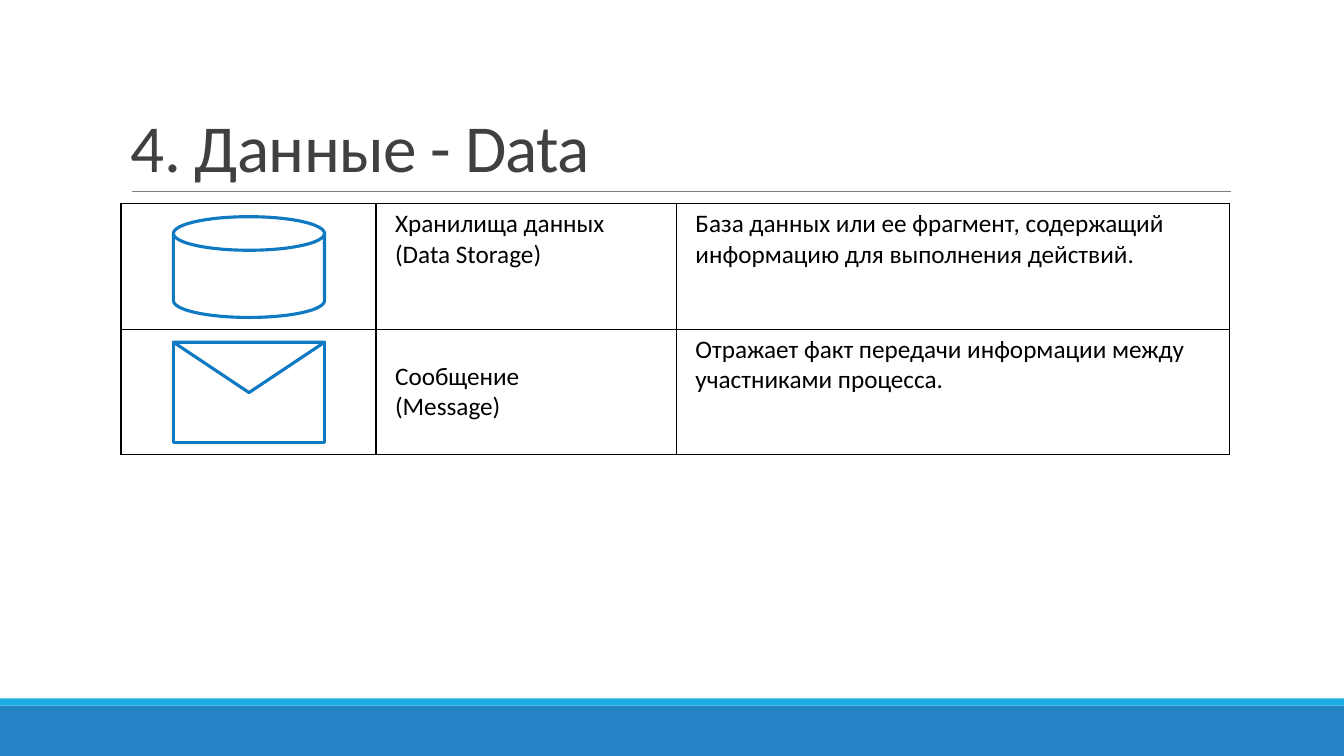
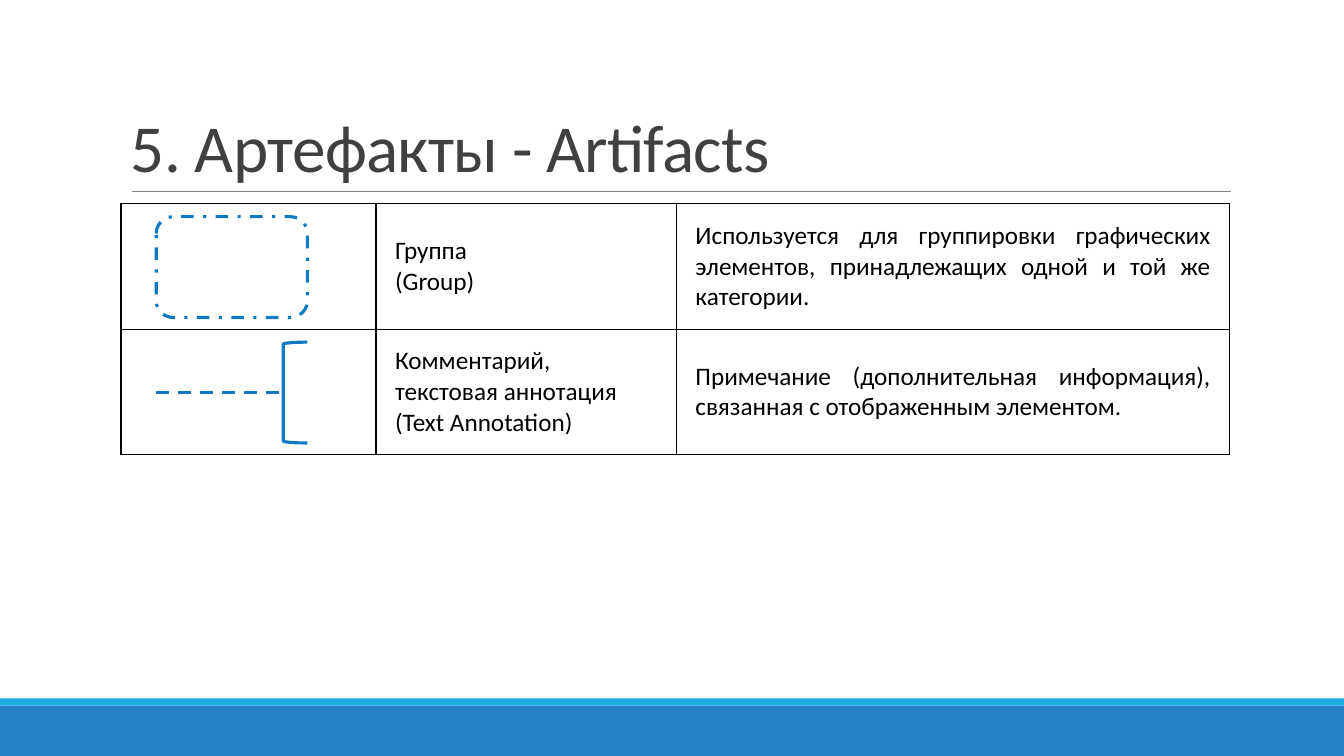
import collections
import lxml.etree
import pptx
import pptx.dml.color
import pptx.enum.dml
import pptx.enum.shapes
import pptx.enum.text
import pptx.oxml.ns
import pptx.util

RGBColor = pptx.dml.color.RGBColor
SHAPE = pptx.enum.shapes.MSO_SHAPE
DASH = pptx.enum.dml.MSO_LINE
ANCHOR = pptx.enum.text.MSO_ANCHOR
ALIGN = pptx.enum.text.PP_ALIGN
qn = pptx.oxml.ns.qn

BLUE = RGBColor(0x26, 0x83, 0xC6)
CYAN = RGBColor(0x1C, 0xAD, 0xE4)
OUTLINE = RGBColor(0x0F, 0x79, 0xC1)
GRAY = RGBColor(0x80, 0x80, 0x80)
DARK = RGBColor(0x40, 0x40, 0x40)
BLACK = RGBColor(0, 0, 0)

FONT = "Calibri"
GRID = pptx.util.Inches(0.1)
COLUMNS, ROWS = 133.33, 75
TABLE_COLUMNS = (25.3, 29.8, 54.9)
ICON_WIDTH, ICON_HEIGHT, ICON_TOP = 15, 10, 1.3

Box = collections.namedtuple("Box", "left top width height")
Entry = collections.namedtuple("Entry", "icon name meaning name_format meaning_format")

TITLE_BOX = Box(12, 3.1, 110, 15.9)
TABLE_BOX = Box(12, 20.2, 110, 24.9)
RULE_BOX = Box(13.1, 19, 109, 0)
FOOTER_BOX = Box(0, 69.3, COLUMNS, 5.7)


def units(*lengths):
    return [round(length * GRID) for length in lengths]


def write(frame, text, size=18, color=BLACK, align=ALIGN.LEFT, line_spacing=None, tracking=None):
    frame.word_wrap = True
    para = frame.paragraphs[0]
    para.text = text
    para.alignment = align
    para.line_spacing = line_spacing
    for span in para.runs:
        span.font.name = FONT
        span.font.size = pptx.util.Pt(size)
        span.font.color.rgb = color
        if tracking is not None:
            span._r.get_or_add_rPr().set("spc", str(round(tracking * 100)))


def add_shape(page, kind, box, fill=None, line=None, dash=None):
    shape = page.shapes.add_shape(kind, *units(*box))
    shape.shadow.inherit = False
    if fill is None:
        shape.fill.background()
    else:
        shape.fill.solid()
        shape.fill.fore_color.rgb = fill
    if line is None:
        shape.line.fill.background()
    else:
        shape.line.color.rgb = line
        shape.line.width = pptx.util.Pt(2.25)
        shape.line.dash_style = dash
    return shape


def add_line(page, box, color, width, dash=None):
    line = page.shapes.add_connector(
        pptx.enum.shapes.MSO_CONNECTOR.STRAIGHT,
        *units(box.left, box.top, box.left + box.width, box.top + box.height))
    line.line.color.rgb = color
    line.line.width = pptx.util.Pt(width)
    line.line.dash_style = dash
    lxml.etree.SubElement(line._element.spPr, qn("a:effectLst"))
    return line


def add_footer(page, box):
    stripe = 0.7
    add_shape(page, SHAPE.RECTANGLE,
              Box(box.left, box.top + stripe, box.width, box.height - stripe), fill=BLUE)
    add_shape(page, SHAPE.RECTANGLE, box._replace(height=stripe), fill=CYAN)


def add_title(page, box, text):
    frame = page.shapes.add_textbox(*units(*box)).text_frame
    frame.vertical_anchor = ANCHOR.BOTTOM
    write(frame, text, size=48, color=DARK, line_spacing=0.85, tracking=-0.5)


def draw_storage(page, box):
    add_shape(page, SHAPE.FLOWCHART_MAGNETIC_DISK, box, line=OUTLINE)


def draw_message(page, box):
    add_shape(page, SHAPE.RECTANGLE, box, line=OUTLINE)
    flap = add_shape(page, SHAPE.ISOSCELES_TRIANGLE,
                     box._replace(height=box.height / 2), line=OUTLINE)
    flap.rotation = 180


def draw_group(page, box):
    add_shape(page, SHAPE.ROUNDED_RECTANGLE, box, line=OUTLINE, dash=DASH.DASH_DOT)


def draw_annotation(page, box):
    stem = box.width * 0.84
    bracket = add_shape(page, SHAPE.LEFT_BRACKET,
                        Box(box.left + stem, box.top, box.width - stem, box.height), line=OUTLINE)
    link = add_line(page, Box(box.left, box.top + box.height / 2, stem, 0),
                    OUTLINE, 2.25, DASH.DASH)
    link.end_connect(bracket, 1)


def add_borders(cell):
    cell.fill.background()
    properties = cell._tc.get_or_add_tcPr()
    for index, side in enumerate(("lnL", "lnR", "lnT", "lnB")):
        border = lxml.etree.Element(qn("a:" + side), w=str(pptx.util.Pt(1)))
        fill = lxml.etree.SubElement(border, qn("a:solidFill"))
        lxml.etree.SubElement(fill, qn("a:srgbClr"), val=str(BLACK))
        properties.insert(index, border)


def fill_cell(cell, text, anchor=ANCHOR.TOP, insets=(0.19, 0.05, 0.1, 0.05), align=ALIGN.LEFT):
    cell.vertical_anchor = anchor
    (cell.margin_left, cell.margin_top,
     cell.margin_right, cell.margin_bottom) = map(pptx.util.Inches, insets)
    write(cell.text_frame, text, align=align)


def add_notation_table(page, box, entries, icon_left):
    row_height = box.height / len(entries)
    table = page.shapes.add_table(len(entries), len(TABLE_COLUMNS), *units(*box)).table
    table.first_row = table.horz_banding = False
    for column, width in zip(table.columns, units(*TABLE_COLUMNS)):
        column.width = width
    for cell in table.iter_cells():
        add_borders(cell)
    for index, entry in enumerate(entries):
        table.rows[index].height = units(row_height)[0]
        fill_cell(table.cell(index, 1), entry.name, **entry.name_format)
        fill_cell(table.cell(index, 2), entry.meaning, **entry.meaning_format)
        entry.icon(page, Box(box.left + icon_left, box.top + index * row_height + ICON_TOP,
                             ICON_WIDTH, ICON_HEIGHT))


def add_notation_page(deck, title, entries, icon_left):
    page = deck.slides.add_slide(deck.slide_layouts[6])
    add_footer(page, FOOTER_BOX)
    add_line(page, RULE_BOX, GRAY, 0.5)
    add_title(page, TITLE_BOX, title)
    add_notation_table(page, TABLE_BOX, entries, icon_left)


TOP = {}
TIGHT = dict(anchor=ANCHOR.MIDDLE, insets=(0.19, 0.03, 0.03, 0.03))
CENTERED = dict(anchor=ANCHOR.MIDDLE, insets=(0.19, 0.04, 0.19, 0.04))
JUSTIFIED = dict(CENTERED, align=ALIGN.JUSTIFY)

DATA = [
    Entry(draw_storage, "Хранилища данных\n(Data Storage)",
          "База данных или ее фрагмент, содержащий информацию для выполнения действий.",
          TOP, TOP),
    Entry(draw_message, "Сообщение\n(Message)",
          "Отражает факт передачи информации между участниками процесса.",
          TIGHT, TOP),
]
ARTIFACTS = [
    Entry(draw_group, "Группа\n(Group)",
          "Используется для группировки графических элементов, "
          "принадлежащих одной и той же категории.",
          CENTERED, JUSTIFIED),
    Entry(draw_annotation, "Комментарий,\nтекстовая аннотация\n(Text Annotation)",
          "Примечание (дополнительная информация), связанная с отображенным элементом.",
          CENTERED, JUSTIFIED),
]


def main():
    deck = pptx.Presentation()
    deck.slide_width, deck.slide_height = units(COLUMNS, ROWS)
    add_notation_page(deck, "4. Данные - Data", DATA, icon_left=5.2)
    add_notation_page(deck, "5. Артефакты - Artifacts", ARTIFACTS, icon_left=3.5)
    deck.save("out.pptx")


if __name__ == "__main__":
    main()
